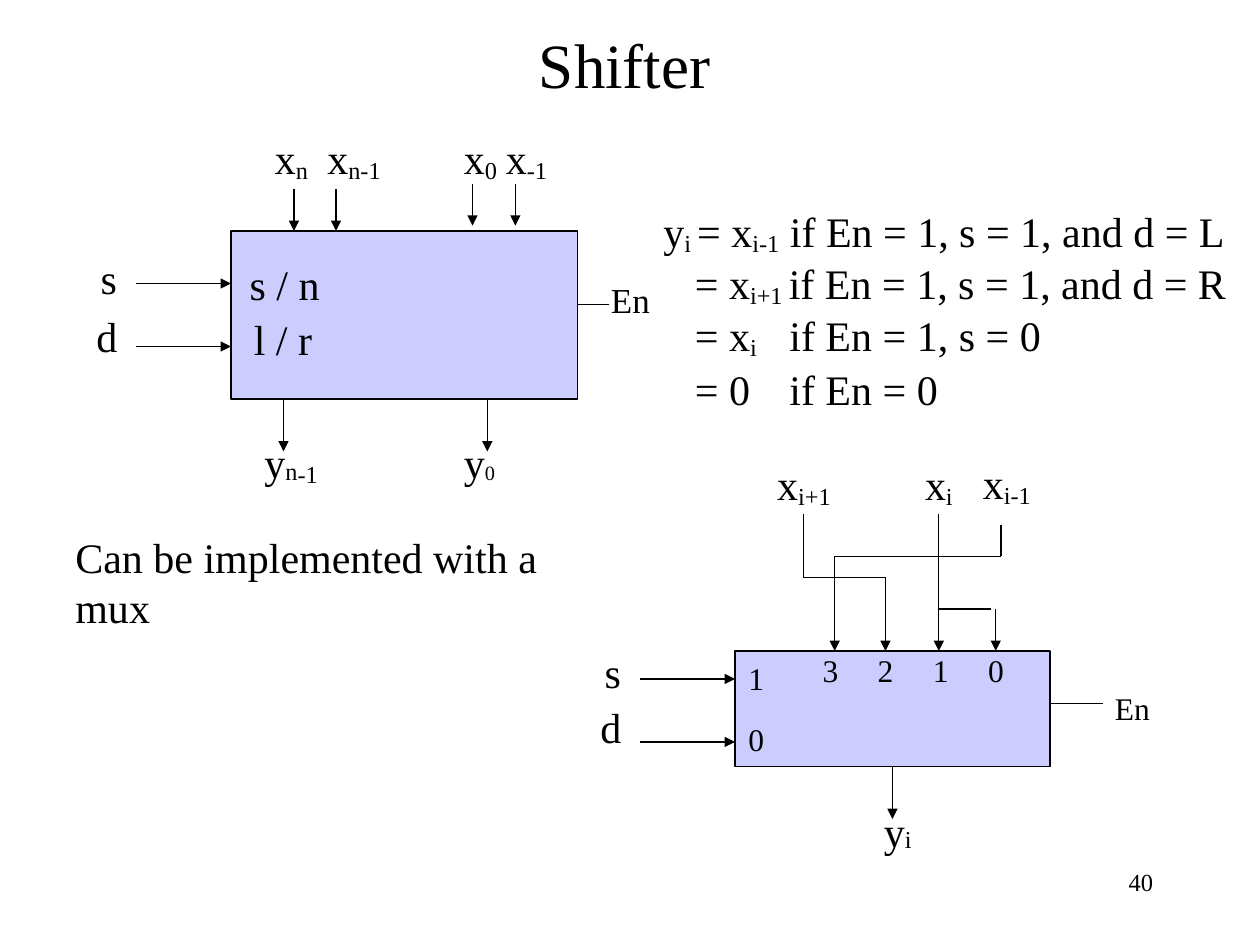
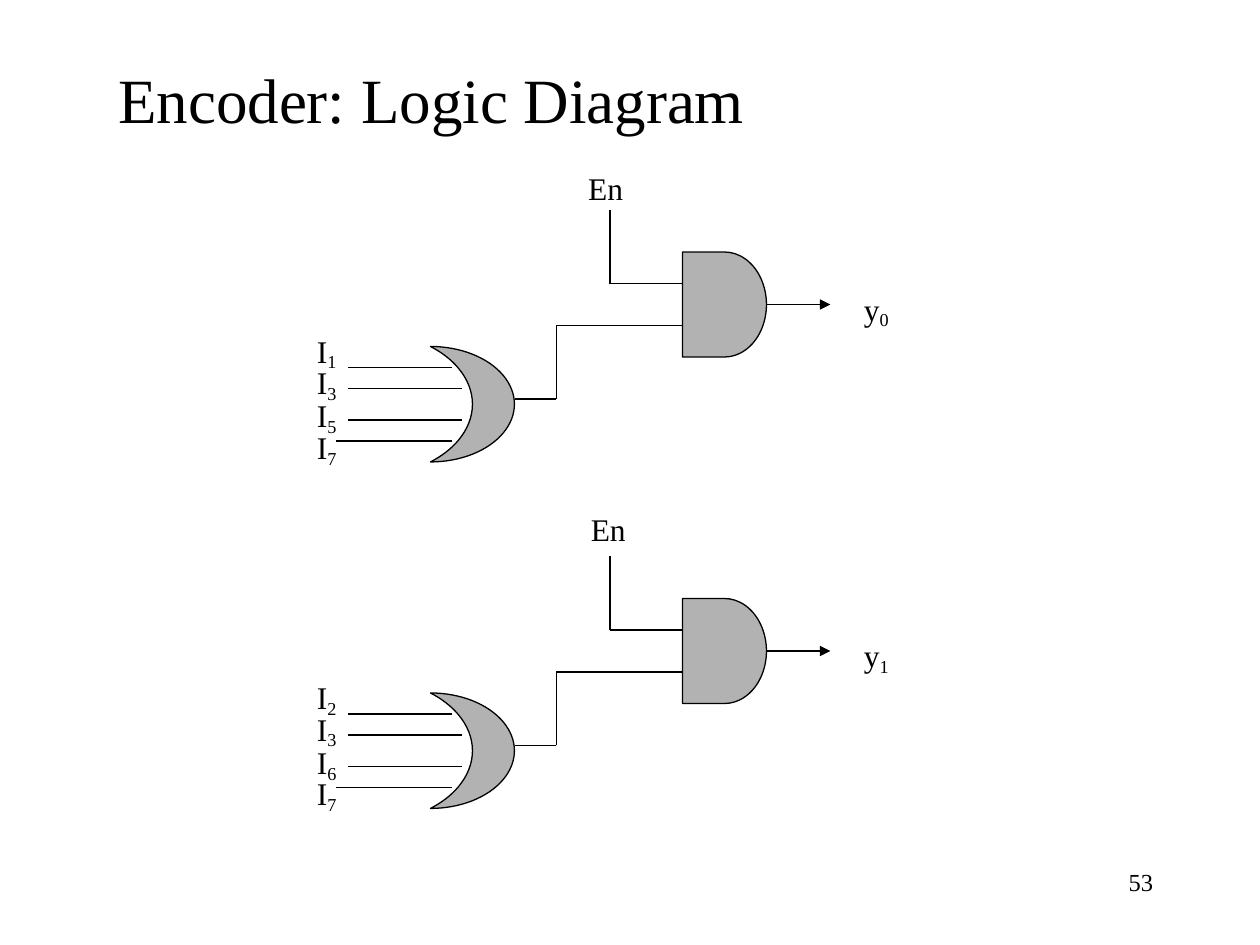
from dataclasses import dataclass
from itertools import cycle

from lxml.etree import SubElement as Sub
from pptx import Presentation
from pptx.dml.color import RGBColor as Rgb
from pptx.enum.shapes import MSO_CONNECTOR as Link, MSO_SHAPE as Kind
from pptx.enum.text import MSO_ANCHOR as Anchor, PP_ALIGN as Align
from pptx.oxml.ns import qn
from pptx.util import Pt


@dataclass(frozen=True)
class Theme:
    font: str = "Times New Roman"
    ink: Rgb = Rgb(0, 0, 0)
    block: Rgb = Rgb(0xCC, 0xCC, 0xFF)
    gate: Rgb = Rgb(0xB2, 0xB2, 0xB2)
    line: float = 0.75
    title: int = 36
    body: int = 24
    mid: int = 20
    small: int = 18
    page: int = 14


look = Theme()


def write(slide, text, left, top, width, size=look.body, drops=(0, -12),
          align=Align.LEFT, tabs=(), pitch=None):
    """Add a text box; "|" parts runs, whose baselines cycle through drops."""
    rows = text.split("\n")
    high = size * 1.2 * len(rows) + 7.2
    box = slide.shapes.add_textbox(Pt(left), Pt(top), Pt(width), Pt(high))
    frame = box.text_frame
    frame.word_wrap = True
    for i, row in enumerate(rows):
        para = frame.add_paragraph() if i else frame.paragraphs[0]
        if tabs:
            stops = Sub(para._p.get_or_add_pPr(), qn("a:tabLst"))
            for tab in tabs:
                Sub(stops, qn("a:tab"), pos=str(Pt(tab)), algn="l")
        para.alignment = align
        if pitch:
            para.line_spacing = Pt(pitch)
        para.font.name = look.font
        para.font.size = Pt(size)
        para.font.color.rgb = look.ink
        for part, drop in zip(row.split("|"), cycle(drops)):
            run = para.add_run()
            run.text = part
            if drop:
                run._r.get_or_add_rPr().set("baseline", str(drop * 1000))
    return box


def wire(slide, *spots, arrow=False):
    """Join the spots with straight lines, the last one with an arrowhead."""
    for start, end in zip(spots, spots[1:]):
        line = slide.shapes.add_connector(
            Link.STRAIGHT, *(Pt(n) for n in start + end))
        line.line.color.rgb = look.ink
        line.line.width = Pt(look.line)
        Sub(line._element.spPr, qn("a:effectLst"))
    if arrow:
        Sub(line.line._get_or_add_ln(), qn("a:tailEnd"), type="triangle")


deck = Presentation()
deck.slide_width, deck.slide_height = Pt(720), Pt(540)
shift, coder = (deck.slides.add_slide(deck.slide_layouts[6]) for _ in range(2))
solids = []

# Titles and page numbers
head = write(shift, "Shifter", 48, 0, 618, look.title, align=Align.CENTER)
head.height = Pt(72)
head.text_frame.vertical_anchor = Anchor.MIDDLE
write(coder, "Encoder: Logic Diagram", 60.5, 31, 380, look.title)
for slide, page in ((shift, "40"), (coder, "53")):
    write(slide, page, 516, 492, 150, look.page, align=Align.RIGHT)

# Shifter: blocks with their s and d inputs
blocks = (
    (132, 132, 198, 96, (("s", 162, 141), ("d", 198, 174))),
    (420, 372, 180, 66, (("s", 388, 366), ("d", 424, 397.5))),
)
for left, top, wide, high, pins in blocks:
    block = shift.shapes.add_shape(
        Kind.RECTANGLE, Pt(left), Pt(top), Pt(wide), Pt(high))
    solids.append((block, look.block))
    for name, y, label in pins:
        wire(shift, (left - 54, y), (left, y), arrow=True)
        write(shift, name, left - (81.6 if name == "s" else 84), label, 30)

# Shifter: wires of the whole block
for x, top in ((168, 108), (192, 108), (270, 105), (294.5, 105),
               (162, 228), (278.5, 228)):
    wire(shift, (x, top), (x, top + (30 if top > 200 else 24)), arrow=True)
wire(shift, (330, 174), (348, 174))
for text, left, width in (("x|n", 150, 36), ("x|n-1", 180, 50),
                          ("x|0", 258, 36), ("x|-1", 282, 42)):
    write(shift, text, left, 72, width)
write(shift, "y|n|-1", 144, 246, 50, drops=(0, -4, -12))
low = write(shift, "y|0", 258, 246, 48, drops=(0, -4))
low.text_frame.paragraphs[0].runs[1].font.size = Pt(look.mid)
write(shift, "En", 342, 155.5, 40, look.mid)
write(shift, "s / n", 135.5, 144, 60)
write(shift, "l / r", 138, 175.5, 52)

# Shifter: wires of one mux stage
for route in (
    ((459, 294), (459, 330), (506, 330), (506, 372)),
    ((572, 300), (572, 318), (477, 318), (477, 372)),
    ((536.5, 294), (536.5, 372)),
    ((569, 348), (569, 372)),
    ((510, 438), (510, 468)),
):
    wire(shift, *route, arrow=True)
wire(shift, (536.5, 348), (566.5, 348))
wire(shift, (600, 402), (630, 402))
for text, left, top, width in (("x|i+1", 437, 258.5, 52),
                               ("x|i", 521.5, 258.5, 34),
                               ("x|i-1", 554.5, 258, 48)):
    write(shift, text, left, top, width)
write(shift, "y|i", 498, 456.5, 34, drops=(0, -4))
write(shift, "En", 630, 390, 38, look.small)
write(shift, "1", 420.5, 373, 26, look.small)
write(shift, "0", 420.5, 408, 26, look.small)
write(shift, "3\t2\t1\t0", 463, 368.5, 122, look.small, tabs=(31.5, 63, 94.5))

# Shifter: rule and remark
write(shift, "y|i |= x|i-1| if En = 1, s = 1, and d = L\n"
             "\t= x|i+1 |if En = 1, s = 1, and d = R\n"
             "\t= x|i|\tif En = 1, s = 0\n"
             "\t= 0\tif En = 0",
      372, 114, 348, tabs=(18, 72), pitch=29.7)
write(shift, "Can be implemented with a mux", 36, 300, 310, pitch=28.8)

# Encoder: one OR and one AND gate for each output bit
stages = ((0, "1357", "0", 329, 93), (198, "2367", "1", 330.5, 288))
for down, bits, out, left, top in stages:
    gates = ((Kind.FLOWCHART_DELAY, 390, 144, 60), (Kind.MOON, 246, 198, 66))
    for kind, x, y, high in gates:
        gate = coder.shapes.add_shape(
            kind, Pt(x), Pt(y + down), Pt(48), Pt(high))
        if kind == Kind.MOON:
            gate._element.spPr.find(qn("a:xfrm")).set("flipH", "1")
        solids.append((gate, look.gate))
    inputs = ((199, 258.5, 210, 186), (199, 264, 222, 204),
              (199, 264, 240, 223), (192, 258.5, 252, 241))
    for bit, (start, end, y, label) in zip(bits, inputs):
        wire(coder, (start, y + down), (end, y + down))
        write(coder, "I|" + bit, 174, label + down, 36, look.small, (0, -18))
    for route in (((294.5, 228), (318, 228), (318, 186), (390, 186)),
                  ((348.5, 120), (348.5, 162), (390, 162))):
        wire(coder, *((x, y + down) for x, y in route))
    wire(coder, (438.5, 174 + down), (474.5, 174 + down), arrow=True)
    write(coder, "En", left, top, 38, look.small)
    write(coder, "y|" + out, 486.5, 162 + down, 32, look.small, (0, -18))

for solid, fill in solids:
    solid.shadow.inherit = False
    solid.fill.solid()
    solid.fill.fore_color.rgb = fill
    solid.line.color.rgb = look.ink
    solid.line.width = Pt(look.line)

deck.save("out.pptx")
